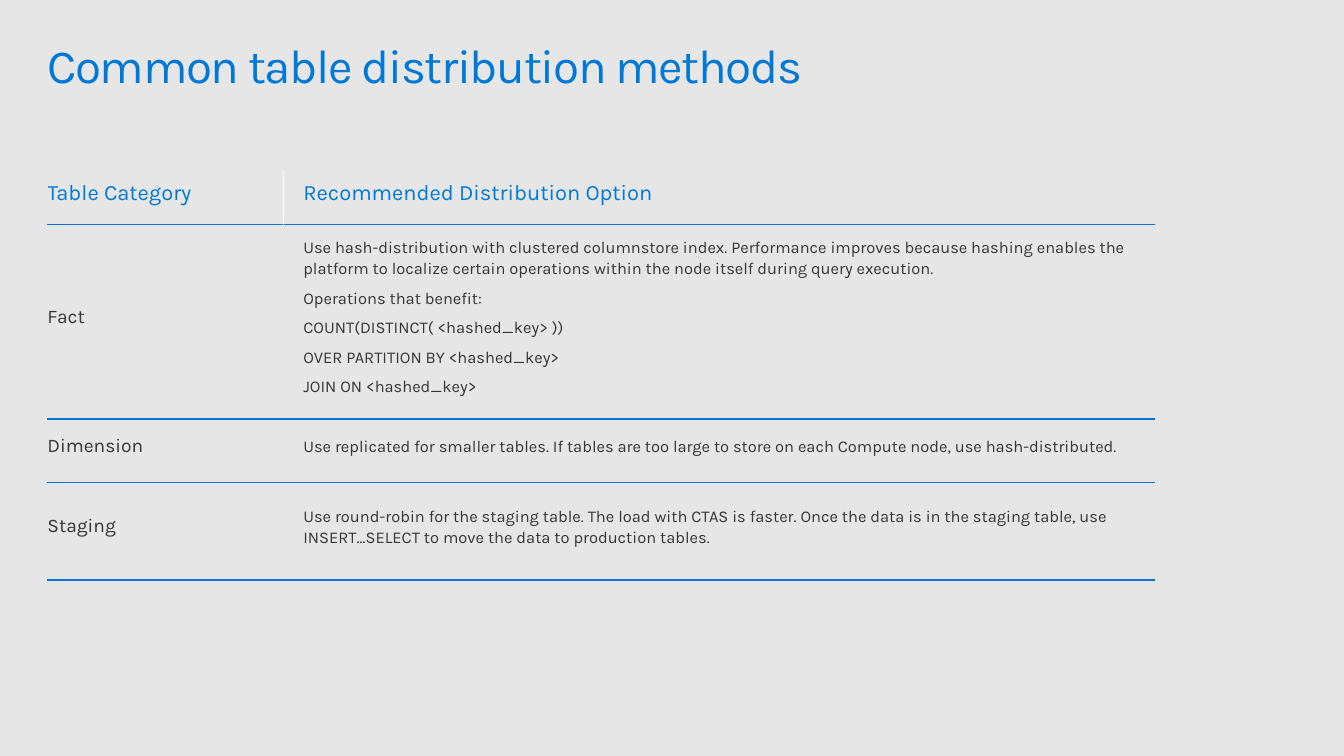
from dataclasses import dataclass

from lxml import etree
from pptx import Presentation
from pptx.dml.color import RGBColor
from pptx.enum.text import MSO_ANCHOR, MSO_AUTO_SIZE, PP_ALIGN
from pptx.oxml.ns import qn
from pptx.util import Inches, Pt

TOP, MIDDLE = MSO_ANCHOR.TOP, MSO_ANCHOR.MIDDLE
LEFT = PP_ALIGN.LEFT
NO_AUTOFIT = MSO_AUTO_SIZE.NONE
TITLE_ONLY = 5


@dataclass(frozen=True)
class Theme:
    font: str = "Karla"
    background: str = "E6E6E6"
    accent: str = "0078D7"
    text: str = "353535"
    header_divider: str = "FFFFFF"
    title_size: float = 34.7
    header_size: float = 16
    category_size: float = 14
    body_size: float = 12


THEME = Theme()
COLUMN_WIDTHS = (2.39, 8.81)
ROW_HEIGHTS = (0.54, 1.97, 0.64, 0.99)
HEADERS = ("Table Category", "Recommended Distribution Option")
METHODS = (
    ("Fact", (
        "Use hash-distribution with clustered columnstore index. Performance improves because "
        "hashing enables the platform to localize certain operations within the node itself "
        "during query execution.",
        "Operations that benefit:",
        "COUNT(DISTINCT( <hashed_key> ))",
        "OVER PARTITION BY <hashed_key>",
        "JOIN ON <hashed_key>",
    )),
    ("Dimension", (
        "Use replicated for smaller tables. If tables are too large to store on each Compute "
        "node, use hash-distributed.",
    )),
    ("Staging", (
        "Use round-robin for the staging table. The load with CTAS is faster. Once the data is "
        "in the staging table, use INSERT…SELECT to move the data to production tables.",
    )),
)


def apply_format(target, values):
    for name, value in values.items():
        setattr(target, name, value)


def set_margins(target, margins):
    for side, value in zip(("left", "top", "right", "bottom"), margins):
        setattr(target, f"margin_{side}", Inches(value))


def write_paragraphs(text_frame, texts, size, color, paragraph_format):
    for index, text in enumerate(texts):
        paragraph = text_frame.paragraphs[0] if index == 0 else text_frame.add_paragraph()
        apply_format(paragraph, {"alignment": LEFT, **paragraph_format})
        run = paragraph.add_run()
        run.text = text
        apply_format(run.font, {"name": THEME.font, "size": Pt(size), "bold": False})
        run.font.color.rgb = RGBColor.from_string(color)


def set_borders(cell, colors):
    properties = cell._tc.get_or_add_tcPr()
    for index, (side, color) in enumerate(zip("LRTB", colors)):
        line = etree.Element(qn(f"a:ln{side}"), w=str(Pt(1)))
        if color:
            fill = etree.SubElement(line, qn("a:solidFill"))
            etree.SubElement(fill, qn("a:srgbClr"), val=color)
        else:
            etree.SubElement(line, qn("a:noFill"))
        properties.insert(index, line)


def fill_cell(cell, texts, size, color, margins, anchor, borders, paragraph_format):
    cell.fill.background()
    cell.vertical_anchor = anchor
    set_margins(cell, margins)
    set_borders(cell, borders)
    write_paragraphs(cell.text_frame, texts, size, color, paragraph_format)


def add_title(slide, text, left, top, width, height):
    title = slide.shapes.title
    apply_format(title, {"left": Inches(left), "top": Inches(top),
                         "width": Inches(width), "height": Inches(height)})
    text_frame = title.text_frame
    apply_format(text_frame, {"word_wrap": True, "auto_size": NO_AUTOFIT, "vertical_anchor": TOP})
    set_margins(text_frame, (0, 0.18, 0, 0))
    write_paragraphs(text_frame, (text,), THEME.title_size, THEME.accent, {"line_spacing": 0.9})
    text_frame.paragraphs[0].runs[0].font._element.set("spc", "-100")


def add_methods_table(slide, left, top, width, height):
    table = slide.shapes.add_table(len(ROW_HEIGHTS), len(COLUMN_WIDTHS), Inches(left),
                                   Inches(top), Inches(width), Inches(height)).table
    apply_format(table, {"first_row": False, "horz_banding": False})
    for column, column_width in zip(table.columns, COLUMN_WIDTHS):
        column.width = Inches(column_width)
    for row, row_height in zip(table.rows, ROW_HEIGHTS):
        row.height = Inches(row_height)

    edge, rule, divider = THEME.background, THEME.accent, THEME.header_divider
    header_borders = ((edge, divider, None, rule), (divider, edge, None, rule))
    for column, header in enumerate(HEADERS):
        fill_cell(table.cell(0, column), (header,), THEME.header_size, THEME.accent,
                  (0.2 * column, 0.1, 0.02, 0.1), TOP, header_borders[column], {})

    body_borders = (edge, edge, rule, rule)
    for row, (category, advice) in enumerate(METHODS, start=1):
        fill_cell(table.cell(row, 0), (category,), THEME.category_size, THEME.text,
                  (0, 0.1, 0.2, 0.2), MIDDLE, body_borders, {})
        fill_cell(table.cell(row, 1), advice, THEME.body_size, THEME.text,
                  (0.2, 0.1, 0.1, 0.2), MIDDLE, body_borders,
                  {"line_spacing": 1.1, "space_after": Pt(6)})


def main():
    presentation = Presentation()
    apply_format(presentation, {"slide_width": Inches(13.6), "slide_height": Inches(7.65)})
    slide = presentation.slides.add_slide(presentation.slide_layouts[TITLE_ONLY])
    background = slide.background.fill
    background.solid()
    background.fore_color.rgb = RGBColor.from_string(THEME.background)
    add_title(slide, "Common table distribution methods", 0.48, 0.25, 12.65, 0.85)
    add_methods_table(slide, 0.48, 1.73, sum(COLUMN_WIDTHS), sum(ROW_HEIGHTS))
    presentation.save("out.pptx")


if __name__ == "__main__":
    main()
